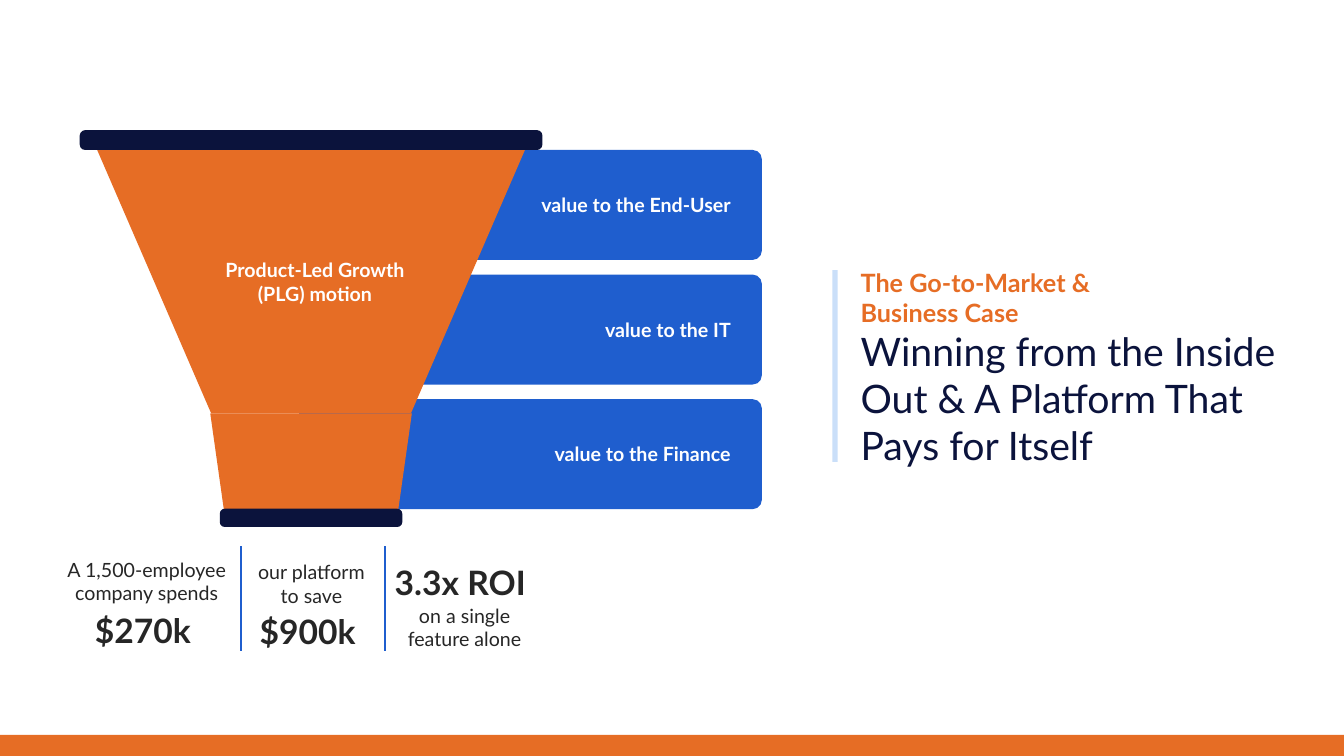
from lxml import etree
from pptx import Presentation
from pptx.dml.color import RGBColor
from pptx.enum import shapes, text
from pptx.oxml.ns import qn
from pptx.util import Cm, Pt

COLORS = {
    "navy": "0B133C",
    "orange": "E66D25",
    "blue": "1F5ECE",
    "pale": "CADFF9",
    "ink": "262626",
    "white": "FFFFFF",
}
CENTER = text.PP_ALIGN.CENTER
RECT = shapes.MSO_SHAPE.RECTANGLE
ROUND = shapes.MSO_SHAPE.ROUNDED_RECTANGLE


def rgb(name):
    return RGBColor.from_string(COLORS[name])


def paint(sp, color):
    sp.shadow.inherit = False
    sp.fill.solid()
    sp.fill.fore_color.rgb = rgb(color)
    sp.line.fill.background()
    return sp


def add_block(s, kind, x, y, w, h, color, radius=None):
    sp = paint(s.shapes.add_shape(kind, Cm(x), Cm(y), Cm(w), Cm(h)), color)
    if radius is not None:
        sp.adjustments[0] = radius
    return sp


def add_trapezoid(s, cx, top, bottom, top_w, bottom_w, color):
    """Draw a trapezoid symmetric about the vertical line at cx."""
    points = [(cx - top_w / 2, top), (cx + top_w / 2, top),
              (cx + bottom_w / 2, bottom), (cx - bottom_w / 2, bottom)]
    points = [(Cm(px), Cm(py)) for px, py in points]
    builder = s.shapes.build_freeform(*points[0])
    builder.add_line_segments(points[1:], close=True)
    return paint(builder.convert_to_shape(), color)


def write(tf, words, size, color, bold=False, align=text.PP_ALIGN.LEFT):
    tf.word_wrap = True
    p = tf.paragraphs[0]
    p.text = words
    p.alignment = align
    p.font.name = "Lato"
    p.font.size = Pt(size)
    p.font.bold = bold
    p.font.color.rgb = rgb(color)


def add_text(s, x, y, w, h, words, size, color, bold=False, align=CENTER, inset=False):
    tf = s.shapes.add_textbox(Cm(x), Cm(y), Cm(w), Cm(h)).text_frame
    if not inset:
        tf.margin_left = tf.margin_right = tf.margin_top = tf.margin_bottom = 0
    write(tf, words, size, color, bold, align)
    return tf


def add_divider(s, x, top, bottom):
    line = s.shapes.add_connector(shapes.MSO_CONNECTOR.STRAIGHT,
                                  Cm(x), Cm(top), Cm(x), Cm(bottom))
    line.line.color.rgb = rgb("blue")
    line.line.width = Pt(1.5)
    etree.SubElement(line._element.spPr, qn("a:effectLst"))


def add_funnel(s, x, y, w, h):
    """Place the value bars, then the funnel that overlaps their left ends."""
    cx = x + 11.66 / 2
    right = x + w
    bar_h, pitch = 2.77, 3.14
    bars = [("value to the End-User", 8.74),
            ("value to the IT", 10.67),
            ("value to the Finance", 11.66)]
    for i, (words, bar_w) in enumerate(bars):
        bar = add_block(s, ROUND, right - bar_w, y + 0.5 + i * pitch,
                        bar_w, bar_h, "blue", 0.083)
        tf = bar.text_frame
        tf.margin_right = Cm(0.71)
        tf.vertical_anchor = text.MSO_ANCHOR.MIDDLE
        write(tf, words, 14, "white", True, text.PP_ALIGN.RIGHT)

    neck = y + 7.14
    add_trapezoid(s, cx, y + 0.28, neck, 10.97, 5.03, "orange")
    add_block(s, ROUND, x, y, 11.66, 0.5, "navy", 0.27)
    add_trapezoid(s, cx, neck, y + h - 0.17, 5.08, 4.32, "orange")
    add_block(s, ROUND, cx - 2.3, y + h - 0.46, 4.6, 0.46, "navy", 0.27)
    add_text(s, cx - 2.26, y + 3.22, 4.72, 1.52,
             "Product-Led Growth (PLG) motion", 14, "white", True)


def add_stats(s, x, y, w, h):
    """Place three figures with captions, parted by two dividers."""
    stats = [
        (2.23, "A 1,500-employee company spends", 4.45, 0.28, "$270k", 2.13, 1.6),
        (6.38, "our platform to save", 3, 0.35, "$900k", 6.28, 1.62),
        (10.24, "on a single feature alone", 3, 1.44, "3.3x ROI", 10.13, 0.4),
    ]
    for caption_x, caption, caption_w, caption_y, figure, figure_x, figure_y in stats:
        add_text(s, x + caption_x - caption_w / 2, y + caption_y, caption_w, 1.19,
                 caption, 14, "ink")
        add_text(s, x + figure_x - 2, y + figure_y, 4, 1.02, figure, 24, "ink", True)
    for divider_x in (4.6, 8.23):
        add_divider(s, x + divider_x, y, y + h)


def add_heading(s, x, y, w, h):
    add_block(s, RECT, x, y + 0.23, 0.13, h - 0.56, "pale")
    left = x + 0.46
    add_text(s, left, y + 1.55, w - 0.46, 3.84,
             "Winning from the Inside Out & A Platform That Pays for Itself",
             28, "navy", align=text.PP_ALIGN.LEFT, inset=True)
    tf = add_text(s, left, y, 7.57, 1.8, "The Go-to-Market & Business Case",
                  18, "orange", True, text.PP_ALIGN.LEFT, inset=True)
    tf.vertical_anchor = text.MSO_ANCHOR.BOTTOM


def main():
    prs = Presentation()
    prs.slide_width, prs.slide_height = Cm(33.87), Cm(19.05)
    s = prs.slides.add_slide(prs.slide_layouts[6])
    add_block(s, RECT, 0, 18.52, 33.87, 0.53, "orange")
    add_heading(s, 20.98, 6.58, 11.71, 5.39)
    add_funnel(s, 2.01, 3.28, 17.19, 10)
    add_stats(s, 1.47, 13.77, 12.27, 2.64)
    prs.save("out.pptx")


if __name__ == "__main__":
    main()
